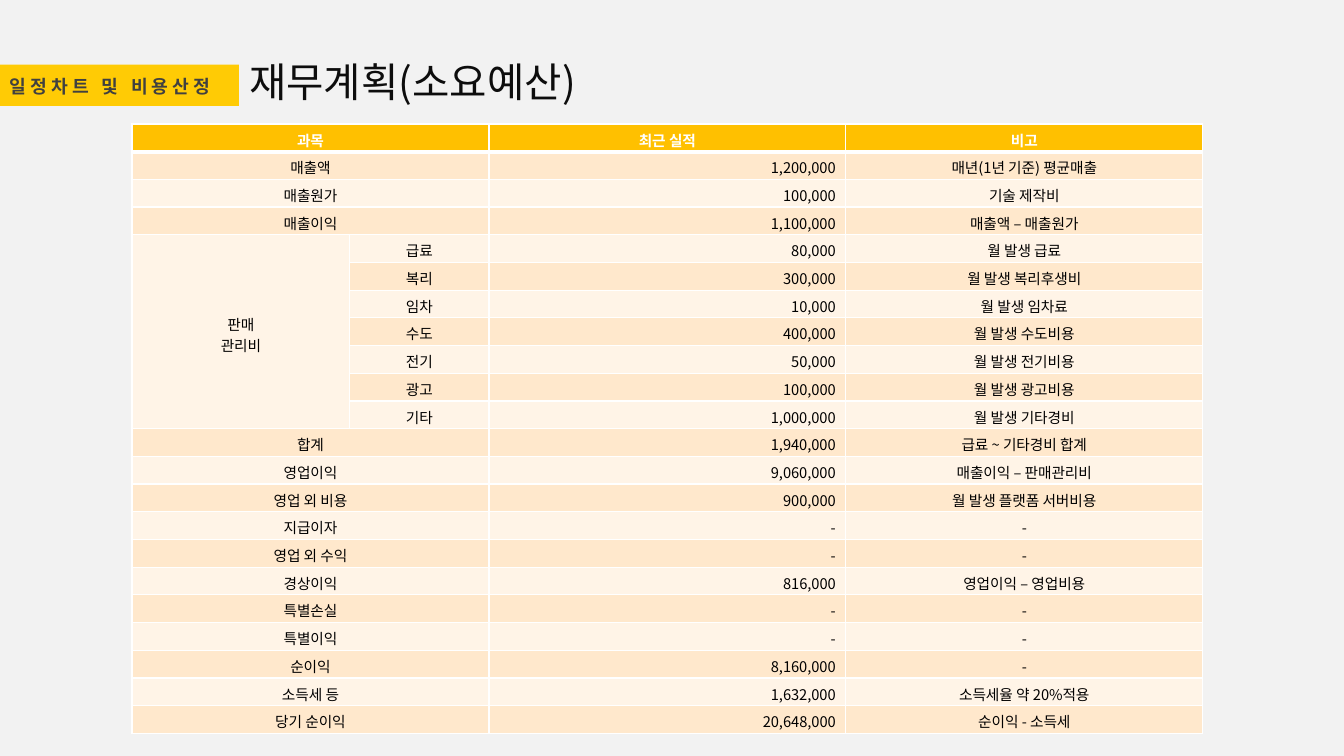
from lxml import etree
from pptx import Presentation
from pptx.dml.color import RGBColor
from pptx.enum import shapes, text
from pptx.oxml import ns
from pptx.util import Inches, Pt

COLORS = {
    "background": "F2F2F2", "tag": "FFCB05", "title": "0D0D0D", "tag text": "404040",
    "header": "FFC000", "odd row": "FFE8CC", "even row": "FFF4E7",
    "white": "FFFFFF", "black": "000000",
}
FONT = "Noto Sans CJK KR"


def format_text(frame, size, color, bold=False, align=None, spacing=None):
    for paragraph in frame.paragraphs:
        paragraph.alignment = align
        for run in paragraph.runs:
            run.font.size = Pt(size)
            run.font.bold = bold
            run.font.name = FONT
            run.font.color.rgb = RGBColor.from_string(COLORS[color])
            properties = run.font._element
            etree.SubElement(properties, ns.qn("a:ea"), typeface=FONT)
            if spacing:
                properties.set("spc", str(spacing * 100))


def set_borders(cell, bottom_width):
    properties = cell._tc.get_or_add_tcPr()
    for index, (side, width) in enumerate([("L", 1), ("R", 1), ("T", 1), ("B", bottom_width)]):
        line = etree.Element(ns.qn(f"a:ln{side}"), w=str(Pt(width)))
        fill = etree.SubElement(line, ns.qn("a:solidFill"))
        etree.SubElement(fill, ns.qn("a:srgbClr"), val=COLORS["white"])
        properties.insert(index, line)


presentation = Presentation()
presentation.slide_width = Inches(13.33)
presentation.slide_height = Inches(7.5)
slide = presentation.slides.add_slide(presentation.slide_layouts[5])
slide.background.fill.solid()
slide.background.fill.fore_color.rgb = RGBColor.from_string(COLORS["background"])

tag = slide.shapes.add_shape(
    shapes.MSO_SHAPE.RECTANGLE, Inches(0), Inches(0.64), Inches(2.37), Inches(0.41))
tag.shadow.inherit = False
tag.fill.solid()
tag.fill.fore_color.rgb = RGBColor.from_string(COLORS["tag"])
tag.line.fill.background()

title = slide.shapes.title
title.left, title.top, title.width, title.height = (
    Inches(2.37), Inches(0.56), Inches(5.23), Inches(0.59))
section = slide.shapes.add_textbox(Inches(0), Inches(0.64), Inches(2.49), Inches(0.43))
for box, wording in [(title, "재무계획(소요예산)"), (section, "일정차트 및 비용산정")]:
    frame = box.text_frame
    frame.text = wording
    frame.word_wrap = True
    frame.auto_size = text.MSO_AUTO_SIZE.NONE
    frame.vertical_anchor = text.MSO_ANCHOR.TOP
    frame.margin_top = frame.margin_bottom = 0
format_text(title.text_frame, 29, "title", align=text.PP_ALIGN.LEFT)
format_text(section.text_frame, 13, "tag text", bold=True, spacing=3)
section.text_frame.paragraphs[0].line_spacing = 1.5

budget_rows = [
    ("과목", "", "최근 실적", "비고"),
    ("매출액", "", "1,200,000", "매년(1년 기준) 평균매출"),
    ("매출원가", "", "100,000", "기술 제작비"),
    ("매출이익", "", "1,100,000", "매출액 – 매출원가"),
    ("판매\n관리비", "급료", "80,000", "월 발생 급료"),
    ("", "복리", "300,000", "월 발생 복리후생비"),
    ("", "임차", "10,000", "월 발생 임차료"),
    ("", "수도", "400,000", "월 발생 수도비용"),
    ("", "전기", "50,000", "월 발생 전기비용"),
    ("", "광고", "100,000", "월 발생 광고비용"),
    ("", "기타", "1,000,000", "월 발생 기타경비"),
    ("합계", "", "1,940,000", "급료 ~ 기타경비 합계"),
    ("영업이익", "", "9,060,000", "매출이익 – 판매관리비"),
    ("영업 외 비용", "", "900,000", "월 발생 플랫폼 서버비용"),
    ("지급이자", "", "-", "-"),
    ("영업 외 수익", "", "-", "-"),
    ("경상이익", "", "816,000", "영업이익 – 영업비용"),
    ("특별손실", "", "-", "-"),
    ("특별이익", "", "-", "-"),
    ("순이익", "", "8,160,000", "-"),
    ("소득세 등", "", "1,632,000", "소득세율 약 20%적용"),
    ("당기 순이익", "", "20,648,000", "순이익 - 소득세"),
]
budget = slide.shapes.add_table(
    len(budget_rows), 4, Inches(1.31), Inches(1.23), Inches(10.62), Inches(6.05)).table
for column, width in zip(budget.columns, [2.16, 1.38, 3.54, 3.54]):
    column.width = Inches(width)

for row, entries in enumerate(budget_rows):
    is_header = row == 0
    budget.rows[row].height = Inches(6.05 / len(budget_rows))
    row_color = "header" if is_header else "odd row" if row % 2 else "even row"
    for column, entry in enumerate(entries):
        cell = budget.cell(row, column)
        cell.text = entry
        cell.margin_top, cell.margin_bottom = Inches(0.05), 0
        cell.fill.solid()
        cell.fill.fore_color.rgb = RGBColor.from_string(COLORS[row_color])
        set_borders(cell, 3 if is_header else 1)
        is_amount = column == 2 and not is_header
        format_text(cell.text_frame, 10.5, "white" if is_header else "black", bold=is_header,
                    align=text.PP_ALIGN.RIGHT if is_amount else text.PP_ALIGN.CENTER)
    if entries[0] and not entries[1]:
        budget.cell(row, 0).merge(budget.cell(row, 1))

selling_costs = budget.cell(4, 0)
selling_costs.merge(budget.cell(10, 0))
selling_costs.vertical_anchor = text.MSO_ANCHOR.MIDDLE

presentation.save("out.pptx")
